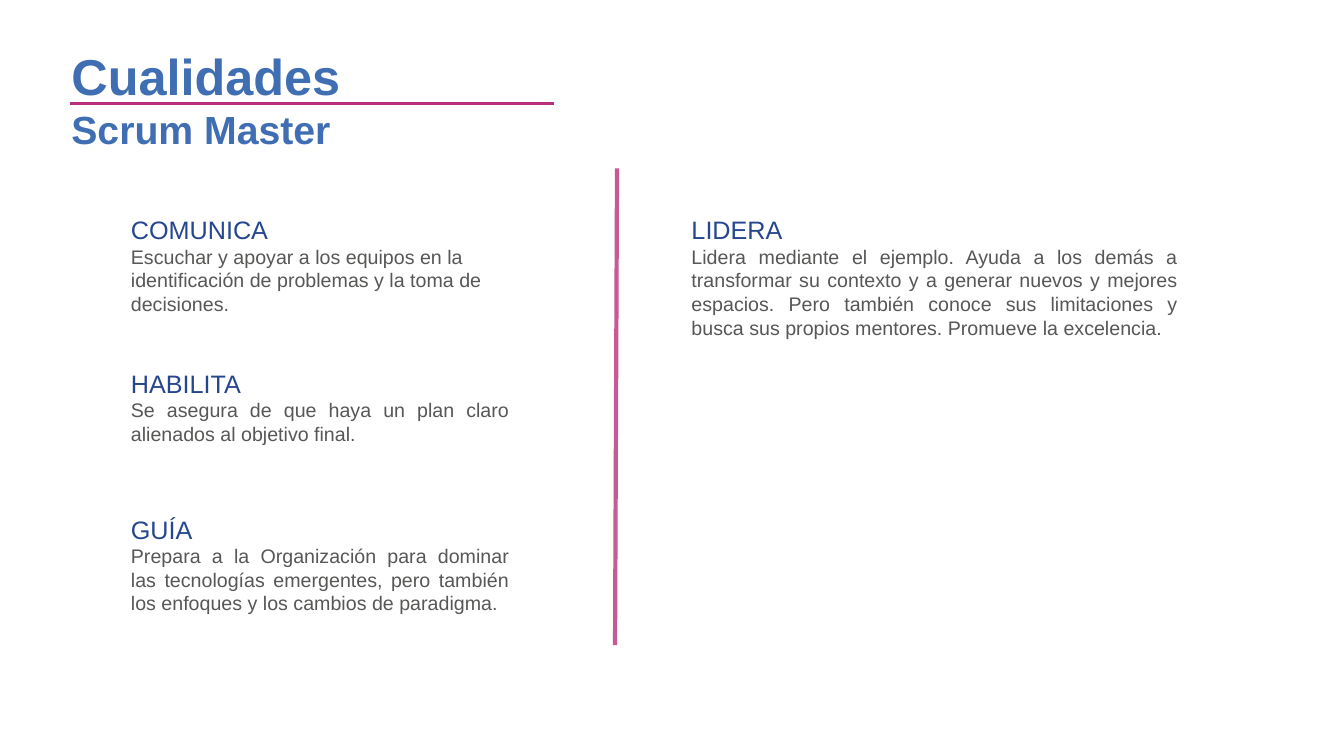
from pptx import Presentation
from pptx.dml.color import RGBColor
from pptx.enum.shapes import MSO_CONNECTOR
from pptx.enum.text import MSO_AUTO_SIZE, PP_ALIGN
from pptx.oxml.ns import qn
from pptx.util import Inches, Pt
from lxml.etree import SubElement

COLORS = {
    "title": "406EB3",
    "heading": "26478D",
    "body": "575756",
    "underline": "BA2F7D",
    "divider": "C85997",
}
FORMATS = {
    "title": {"size": Pt(36), "bold": True, "name": "Arial"},
    "subtitle": {"size": Pt(28), "bold": True, "name": "Arial"},
    "heading": {"size": Pt(18), "name": "Arial"},
    "body": {"size": Pt(14), "name": "Arial"},
}


def add_text(slide, box, lines, alignment, wrap=True):
    shape = slide.shapes.add_textbox(*[Inches(value) for value in box])
    frame = shape.text_frame
    frame.word_wrap = wrap
    frame.auto_size = MSO_AUTO_SIZE.SHAPE_TO_FIT_TEXT
    for index, (text, style, color) in enumerate(lines):
        paragraph = frame.add_paragraph() if index else frame.paragraphs[0]
        paragraph.alignment = alignment
        run = paragraph.add_run()
        run.text = text
        for attribute, value in FORMATS[style].items():
            setattr(run.font, attribute, value)
        run.font.color.rgb = RGBColor.from_string(COLORS[color])


presentation = Presentation()
presentation.slide_width = Inches(13.33)
presentation.slide_height = Inches(7.5)
slide = presentation.slides.add_slide(presentation.slide_layouts[6])

title_lines = [
    ("Cualidades", "title", "title"),
    ("Scrum Master", "subtitle", "title"),
]
add_text(slide, (0.61, 0.4, 2.89, 1.18), title_lines, PP_ALIGN.LEFT, wrap=False)

rules = [
    ((0.69, 1.03, 5.49, 1.03), "underline", 2.25),
    ((6.1, 6.4, 6.12, 1.67), "divider", 3),
]
for ends, color, width in rules:
    connector = slide.shapes.add_connector(
        MSO_CONNECTOR.STRAIGHT, *[Inches(value) for value in ends]
    )
    connector.line.color.rgb = RGBColor.from_string(COLORS[color])
    connector.line.width = Pt(width)
    SubElement(connector._element.spPr, qn("a:effectLst"))

qualities = [
    ((1.2, 2.08, 4.01, 1.11), PP_ALIGN.LEFT, "COMUNICA",
     "Escuchar y apoyar a los equipos en la identificación de problemas "
     "y la toma de decisiones."),
    ((1.2, 3.6, 3.95, 0.88), PP_ALIGN.JUSTIFY, "HABILITA",
     "Se asegura de que haya un plan claro alienados al objetivo final."),
    ((1.2, 5.05, 3.95, 1.11), PP_ALIGN.JUSTIFY, "GUÍA",
     "Prepara a la Organización para dominar las tecnologías emergentes, "
     "pero también los enfoques y los cambios de paradigma."),
    ((6.76, 2.08, 5.02, 1.35), PP_ALIGN.JUSTIFY, "LIDERA",
     "Lidera mediante el ejemplo. Ayuda a los demás a transformar su contexto "
     "y a generar nuevos y mejores espacios. Pero también conoce sus "
     "limitaciones y busca sus propios mentores. Promueve la excelencia."),
]
for box, alignment, heading, description in qualities:
    lines = [(heading, "heading", "heading"), (description, "body", "body")]
    add_text(slide, box, lines, alignment)

presentation.save("out.pptx")
